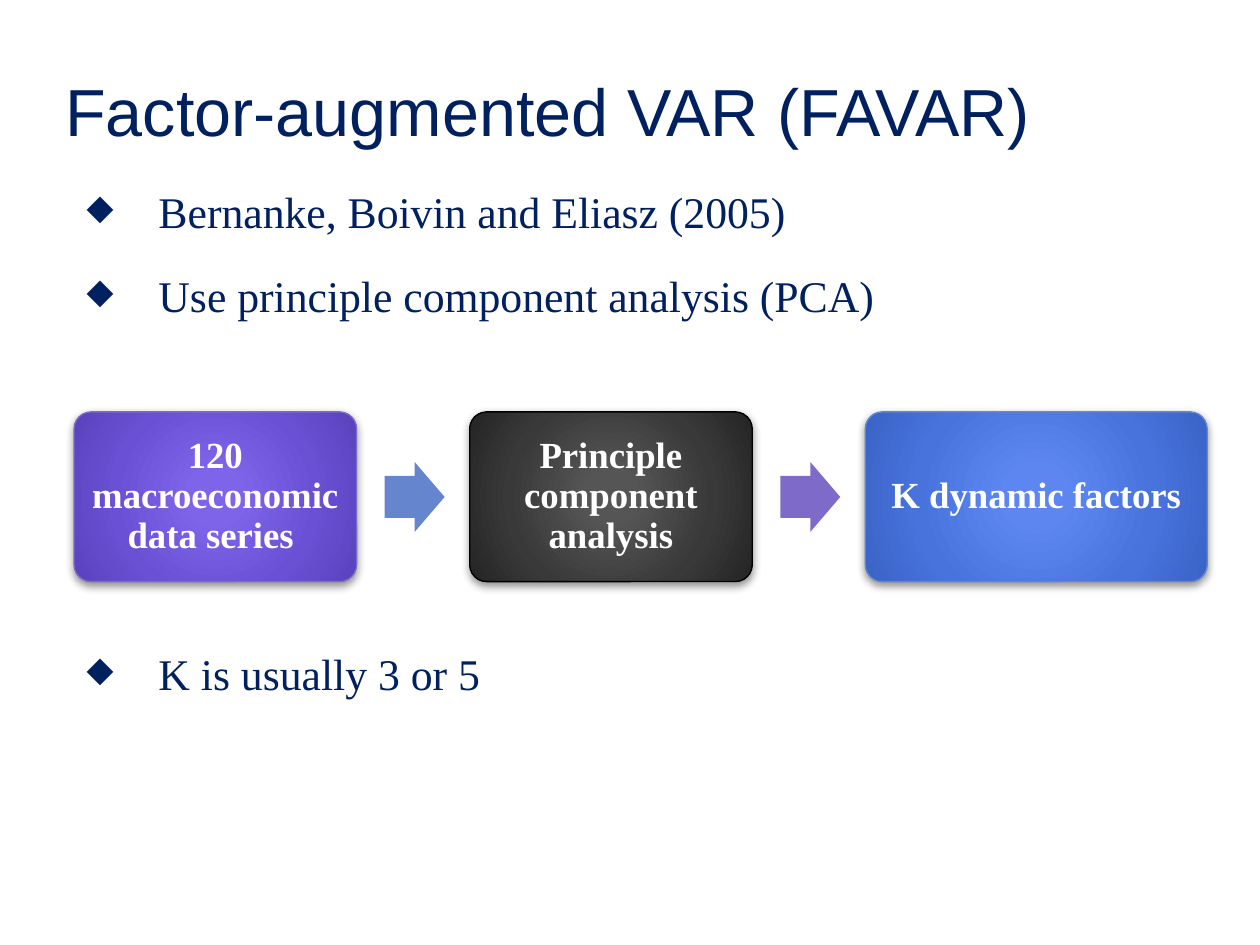
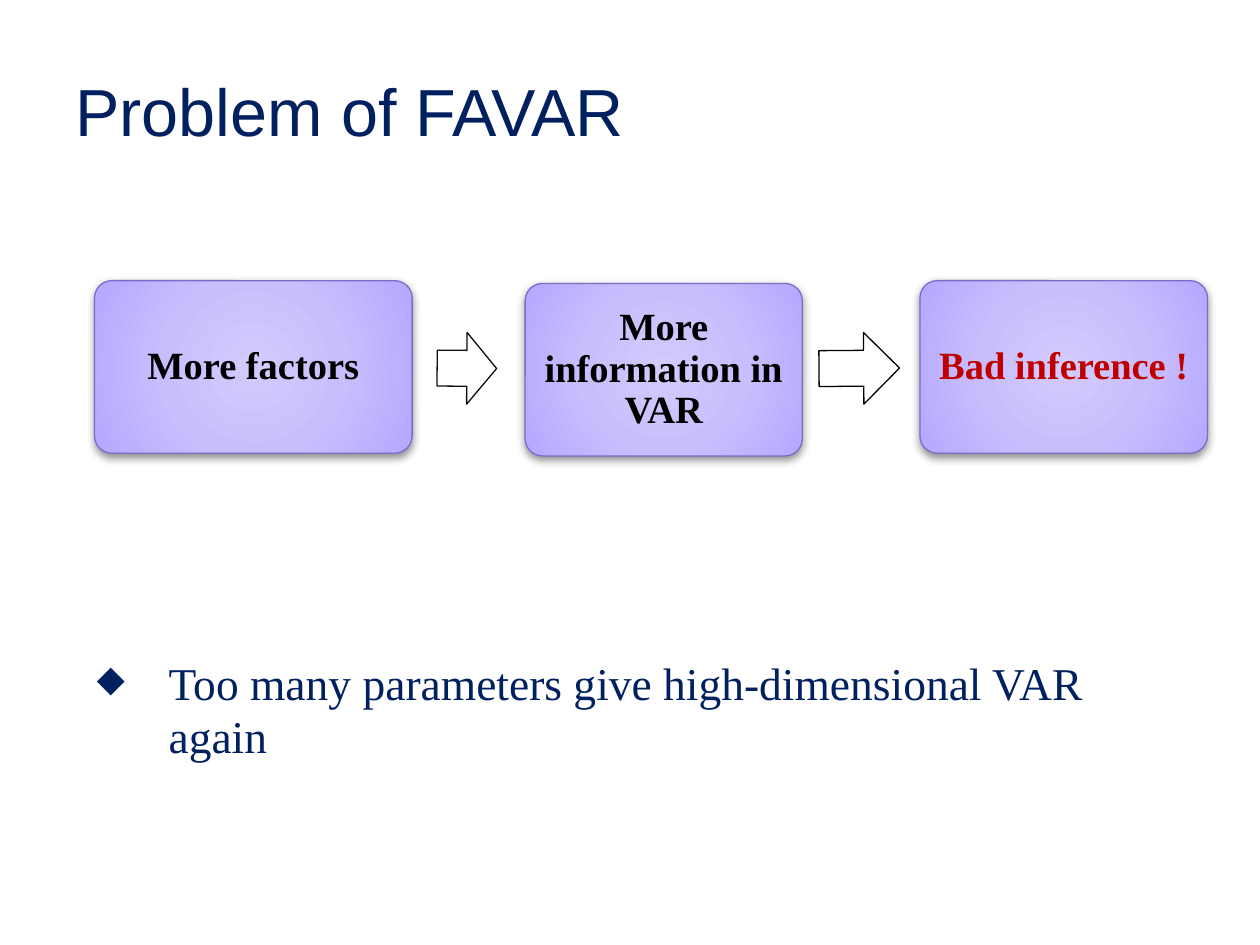
from dataclasses import dataclass

from lxml.etree import SubElement
from pptx import Presentation
from pptx.dml.color import RGBColor
from pptx.enum.shapes import MSO_SHAPE as Preset
from pptx.enum.text import MSO_ANCHOR as Anchor, PP_ALIGN as Align
from pptx.oxml.ns import qn
from pptx.util import Pt

NAVY, WHITE, BLACK, RED = "002060", "FFFFFF", "000000", "C00000"
BLUE, PURPLE = "6585CF", "7E6BC9"
HEADING_FONT, BODY_FONT = "Arial", "Times New Roman"
BULLET_INDENT, TEXT_INDENT = 6.48, 47.5

Gradient = tuple[tuple[int, str], ...]
VIOLET_GLOW: Gradient = (
    (0, "7D65E9"), (15, "7D64E8"), (62, "6950D4"), (97, "5B43BF"), (100, "563CBE"))
DARK_GLOW: Gradient = (
    (0, "555555"), (15, "555555"), (62, "393939"), (97, "262626"), (100, "000000"))
BLUE_GLOW: Gradient = (
    (0, "5D86F2"), (15, "5D86F1"), (62, "4873DC"), (97, "3B64C7"), (100, "3460C6"))
LILAC_GLOW: Gradient = (
    (0, "D2CBFD"), (50, "C8BEFD"), (97, "B6A9FF"), (100, "B1A3FF"))


@dataclass
class Frame:
    left: float
    top: float
    width: float
    height: float

    def lengths(self) -> tuple:
        return Pt(self.left), Pt(self.top), Pt(self.width), Pt(self.height)


@dataclass
class Step:
    text: str
    frame: Frame
    glow: Gradient
    outline: str = PURPLE
    color: str = WHITE
    size: float = 21


@dataclass
class Arrow:
    frame: Frame
    fill: str | None = None
    outline: str | None = None
    head: tuple[float, float] = (0.5, 0.5)
    rotation: float = 0


@dataclass
class Bullet:
    text: str
    size: float
    space_before: float = 6


def rgb(color: str) -> RGBColor:
    return RGBColor.from_string(color)


def style_run(paragraph, font: str, size: float, color: str, bold: bool = False) -> None:
    for run in paragraph.runs:
        run.font.name = font
        run.font.size = Pt(size)
        run.font.color.rgb = rgb(color)
        run.font.bold = bold


def add_color(parent, color: str):
    return SubElement(parent, qn("a:srgbClr"), val=color)


def add_title(slide, text: str, left: float) -> None:
    heading = slide.shapes.add_textbox(*Frame(left, 18, 630.72, 90).lengths()).text_frame
    heading.word_wrap = True
    heading.vertical_anchor = Anchor.MIDDLE
    heading.text = text
    style_run(heading.paragraphs[0], HEADING_FONT, 38, NAVY)


def add_diamond(paragraph) -> None:
    properties = paragraph._p.get_or_add_pPr()
    properties.set("marL", str(Pt(TEXT_INDENT)))
    properties.set("indent", str(Pt(BULLET_INDENT - TEXT_INDENT)))
    add_color(SubElement(properties, qn("a:buClr")), NAVY)
    SubElement(properties, qn("a:buSzPct"), val="80000")
    SubElement(properties, qn("a:buChar"), char="◆")


def add_bullets(slide, frame: Frame, bullets: list[Bullet]) -> None:
    body = slide.shapes.add_textbox(*frame.lengths()).text_frame
    body.word_wrap = True
    body.text = "\n".join(bullet.text for bullet in bullets)
    for paragraph, bullet in zip(body.paragraphs, bullets):
        paragraph.line_spacing = Pt(30)
        paragraph.space_before = Pt(bullet.space_before)
        paragraph.space_after = Pt(12)
        add_diamond(paragraph)
        style_run(paragraph, BODY_FONT, bullet.size, NAVY)


def fill_with_glow(shape, glow: Gradient) -> None:
    shape.fill.gradient()
    gradient = shape.element.spPr.find(qn("a:gradFill"))
    for part in list(gradient):
        gradient.remove(part)
    stops = SubElement(gradient, qn("a:gsLst"))
    for position, color in glow:
        add_color(SubElement(stops, qn("a:gs"), pos=str(position * 1000)), color)
    circle = SubElement(gradient, qn("a:path"), path="circle")
    SubElement(circle, qn("a:fillToRect"), l="100000", t="100000", r="100000", b="100000")


def add_soft_shadow(shape) -> None:
    shape.shadow.inherit = False
    effects = shape.element.spPr.find(qn("a:effectLst"))
    shadow = SubElement(effects, qn("a:outerShdw"), blurRad=str(Pt(5)), dist=str(Pt(2)),
                        dir="5400000", rotWithShape="0")
    SubElement(add_color(shadow, BLACK), qn("a:alpha"), val="43000")


def add_step(slide, step: Step) -> None:
    box = slide.shapes.add_shape(Preset.ROUNDED_RECTANGLE, *step.frame.lengths())
    box.adjustments[0] = 0.1
    fill_with_glow(box, step.glow)
    box.line.color.rgb = rgb(step.outline)
    box.line.width = Pt(0.75)
    add_soft_shadow(box)
    label = box.text_frame
    label.word_wrap = True
    label.vertical_anchor = Anchor.MIDDLE
    label.margin_left = label.margin_right = Pt(3.6)
    label.margin_top = label.margin_bottom = Pt(3.6)
    label.text = step.text
    paragraph = label.paragraphs[0]
    paragraph.alignment = Align.CENTER
    paragraph.line_spacing = 0.9
    style_run(paragraph, BODY_FONT, step.size, step.color, bold=True)


def add_arrow(slide, arrow: Arrow) -> None:
    shape = slide.shapes.add_shape(Preset.RIGHT_ARROW, *arrow.frame.lengths())
    shape.adjustments[0], shape.adjustments[1] = arrow.head
    shape.rotation = arrow.rotation
    shape.shadow.inherit = False
    if arrow.fill:
        shape.fill.solid()
        shape.fill.fore_color.rgb = rgb(arrow.fill)
    else:
        shape.fill.background()
    if arrow.outline:
        shape.line.color.rgb = rgb(arrow.outline)
        shape.line.width = Pt(0.75)
    else:
        shape.line.fill.background()


def add_flow(slide, steps: list[Step], arrows: list[Arrow]) -> None:
    for step in steps:
        add_step(slide, step)
    for arrow in arrows:
        add_arrow(slide, arrow)


def build_favar(slide) -> None:
    add_title(slide, "Factor-augmented VAR (FAVAR)", 30.24)
    add_bullets(slide, Frame(36, 102.24, 635.76, 437.76), [
        Bullet("Bernanke, Boivin and Eliasz (2005)", 25),
        Bullet("Use principle component analysis (PCA)", 25),
        Bullet("K is usually 3 or 5", 25, space_before=174),
    ])
    first_step, first_arrow, pitch = 42.3, 219.8, 226.08
    stages = [
        ("120 macroeconomic data series ", 161.5, VIOLET_GLOW, PURPLE),
        ("Principle component analysis", 161.5, DARK_GLOW, BLACK),
        ("K dynamic factors", 195.4, BLUE_GLOW, BLUE),
    ]
    steps = [
        Step(text, Frame(first_step + index * pitch, 235.4, width, 97), glow, outline)
        for index, (text, width, glow, outline) in enumerate(stages)
    ]
    arrows = [
        Arrow(Frame(first_arrow + index * pitch, 264, 34.3, 40), fill, head=(0.6, 0.5))
        for index, fill in enumerate((BLUE, PURPLE))
    ]
    add_flow(slide, steps, arrows)


def build_problem(slide) -> None:
    add_title(slide, "Problem of FAVAR", 36)
    stages = [
        ("More factors", 54, 160.4, 181.5, BLACK),
        ("More information in VAR", 300.1, 162, 158.4, BLACK),
        ("Bad inference !", 525.7, 160.4, 164.3, RED),
    ]
    steps = [
        Step(text, Frame(left, top, width, 98.6), LILAC_GLOW, color=color, size=22)
        for text, left, top, width, color in stages
    ]
    arrows = [
        Arrow(Frame(249.8, 190, 34, 41), outline="0D0D0D", rotation=0.4),
        Arrow(Frame(468, 190, 46, 41), outline=BLACK, rotation=359.6),
    ]
    add_flow(slide, steps, arrows)
    add_bullets(slide, Frame(41.76, 372.24, 642.24, 167.76), [
        Bullet("Too many parameters give high-dimensional VAR again", 26),
    ])


def main() -> None:
    deck = Presentation()
    deck.slide_width, deck.slide_height = Pt(720), Pt(540)
    blank = deck.slide_layouts[6]
    for build in (build_favar, build_problem):
        build(deck.slides.add_slide(blank))
    deck.save("out.pptx")


if __name__ == "__main__":
    main()
